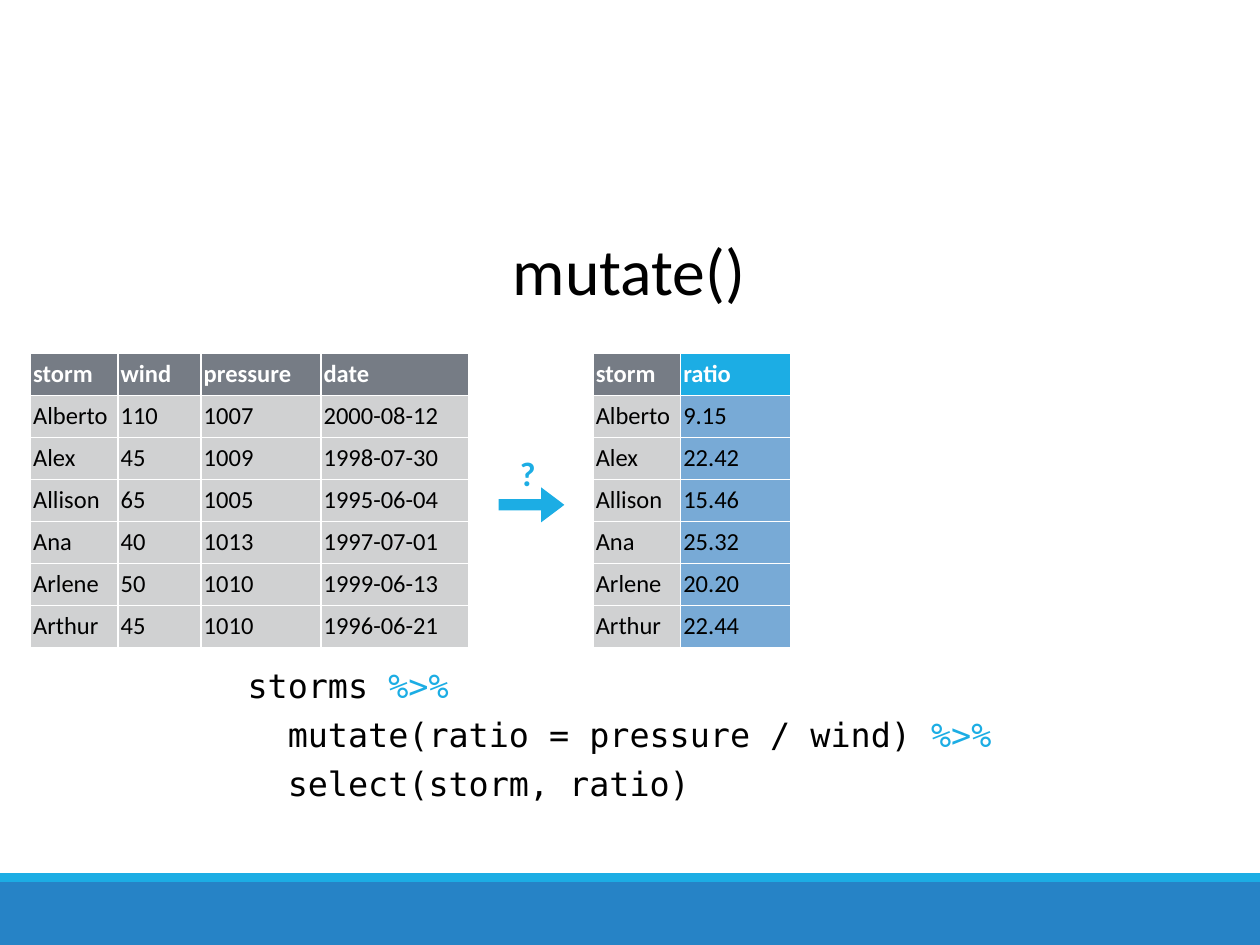
from lxml.etree import SubElement
from pptx import Presentation
from pptx.dml.color import RGBColor
from pptx.enum.shapes import MSO_SHAPE as SHAPE
from pptx.enum.text import MSO_ANCHOR as ANCHOR, PP_ALIGN as ALIGN
from pptx.oxml.ns import qn
from pptx.util import Pt

BLACK = RGBColor(0x00, 0x00, 0x00)
WHITE = RGBColor(0xFF, 0xFF, 0xFF)
BLUE = RGBColor(0x26, 0x83, 0xC6)
CYAN = RGBColor(0x1C, 0xAD, 0xE4)
SLATE = RGBColor(0x76, 0x7C, 0x85)
GREY = RGBColor(0xD0, 0xD1, 0xD2)
SKY = RGBColor(0x78, 0xAA, 0xD6)

SANS = "Calibri"
MONO = "DejaVu Sans Mono"
PIPE = "%>%"

STORMS = [
    ("storm", "wind", "pressure", "date"),
    ("Alberto", "110", "1007", "2000-08-12"),
    ("Alex", "45", "1009", "1998-07-30"),
    ("Allison", "65", "1005", "1995-06-04"),
    ("Ana", "40", "1013", "1997-07-01"),
    ("Arlene", "50", "1010", "1999-06-13"),
    ("Arthur", "45", "1010", "1996-06-21"),
]
RATIOS = ["ratio", "9.15", "22.42", "15.46", "25.32", "20.20", "22.44"]
CODE = [
    ("storms ", PIPE),
    ("  mutate(ratio = pressure / wind) ", PIPE),
    ("  select(storm, ratio)",),
]


def style(font, name, size, color, bold=False):
    """Set the typeface, size, colour and weight of a font."""
    font.name, font.size, font.bold = name, Pt(size), bold
    font.color.rgb = color


def add_block(s, kind, x, y, w, h, color):
    """Add a flat filled shape without outline or shadow."""
    sp = s.shapes.add_shape(kind, Pt(x), Pt(y), Pt(w), Pt(h))
    sp.shadow.inherit = False
    sp.fill.solid()
    sp.fill.fore_color.rgb = color
    sp.line.fill.background()
    return sp


def add_textbox(s, x, y, w, h, inset, anchor=ANCHOR.MIDDLE):
    """Add a wrapping text box and return its text frame."""
    tf = s.shapes.add_textbox(Pt(x), Pt(y), Pt(w), Pt(h)).text_frame
    tf.word_wrap = True
    tf.vertical_anchor = anchor
    tf.margin_left = tf.margin_right = tf.margin_top = tf.margin_bottom = Pt(inset)
    return tf


def add_footer(s, x, y, w, h, stripe=5):
    """Place the blue band with its lighter stripe on top."""
    add_block(s, SHAPE.RECTANGLE, x, y + stripe, w, h - stripe, BLUE)
    add_block(s, SHAPE.RECTANGLE, x, y, w, stripe, CYAN)


def add_title(s, x, y, w, h):
    """Place the centred function name."""
    p = add_textbox(s, x, y, w, h, 1.5).paragraphs[0]
    p.text = "mutate()"
    p.alignment = ALIGN.CENTER
    style(p.runs[0].font, SANS, 37.5, BLACK)


def set_borders(cell, color, width):
    """Draw all four sides of a cell in one colour."""
    tc_pr = cell._tc.get_or_add_tcPr()
    for i, side in enumerate(("a:lnL", "a:lnR", "a:lnT", "a:lnB")):
        ln = SubElement(tc_pr, qn(side), w=str(Pt(width)))
        SubElement(SubElement(ln, qn("a:solidFill")), qn("a:srgbClr"), val=str(color))
        tc_pr.insert(i, ln)


def add_data_table(s, x, y, widths, row_h, rows, fills):
    """Place a table whose columns each have a (header, body) fill pair."""
    frame = s.shapes.add_table(len(rows), len(widths), Pt(x), Pt(y),
                               Pt(sum(widths)), Pt(row_h * len(rows)))
    table = frame.table
    for col, width in zip(table.columns, widths):
        col.width = Pt(width)
    for r, values in enumerate(rows):
        table.rows[r].height = Pt(row_h)
        header = r == 0
        for c, value in enumerate(values):
            cell = table.cell(r, c)
            cell.margin_left = cell.margin_right = Pt(1.5)
            cell.margin_top = cell.margin_bottom = Pt(1.5)
            cell.vertical_anchor = ANCHOR.MIDDLE
            cell.fill.solid()
            cell.fill.fore_color.rgb = fills[c][0 if header else 1]
            set_borders(cell, WHITE, 1)
            p = cell.text_frame.paragraphs[0]
            p.text = value
            style(p.runs[0].font, SANS, 14, WHITE if header else BLACK, header)


def add_question_arrow(s, x, y, w, h):
    """Place the arrow at the foot of the box and the question mark above it."""
    arrow_h = 20
    arrow = add_block(s, SHAPE.RIGHT_ARROW, x, y + h - arrow_h, w, arrow_h, CYAN)
    arrow.adjustments[0], arrow.adjustments[1] = 0.32, 0.665
    p = add_textbox(s, x + 10, y, 17.5, 26.5, 2).paragraphs[0]
    p.text = "?"
    p.line_spacing = 0.9
    style(p.runs[0].font, SANS, 19.4, CYAN, True)


def add_code(s, x, y, w, h):
    """Place the code lines with their pipes highlighted."""
    tf = add_textbox(s, x, y, w, h, 2, ANCHOR.TOP)
    for i, parts in enumerate(CODE):
        p = tf.add_paragraph() if i else tf.paragraphs[0]
        if i:
            p.space_before = Pt(5)
        for part in parts:
            r = p.add_run()
            r.text = part
            style(r.font, MONO, 19.1, CYAN if part == PIPE else BLACK)


def main():
    """Build the slide and save it."""
    prs = Presentation()
    prs.slide_width, prs.slide_height = Pt(720), Pt(540)
    s = prs.slides.add_slide(prs.slide_layouts[6])
    plain = (SLATE, GREY)
    ratio_rows = [(row[0], ratio) for row, ratio in zip(STORMS, RATIOS)]
    add_footer(s, 0, 499, 720, 41)
    add_title(s, 205, 127.5, 309, 53)
    add_data_table(s, 17.5, 202, [50, 47.5, 68.5, 84.5], 24, STORMS, [plain] * 4)
    add_data_table(s, 339, 202, [50, 63], 24, ratio_rows, [plain, (CYAN, SKY)])
    add_question_arrow(s, 285, 258.5, 37.5, 40)
    add_code(s, 139.5, 378, 477, 97)
    prs.save("out.pptx")


if __name__ == "__main__":
    main()
